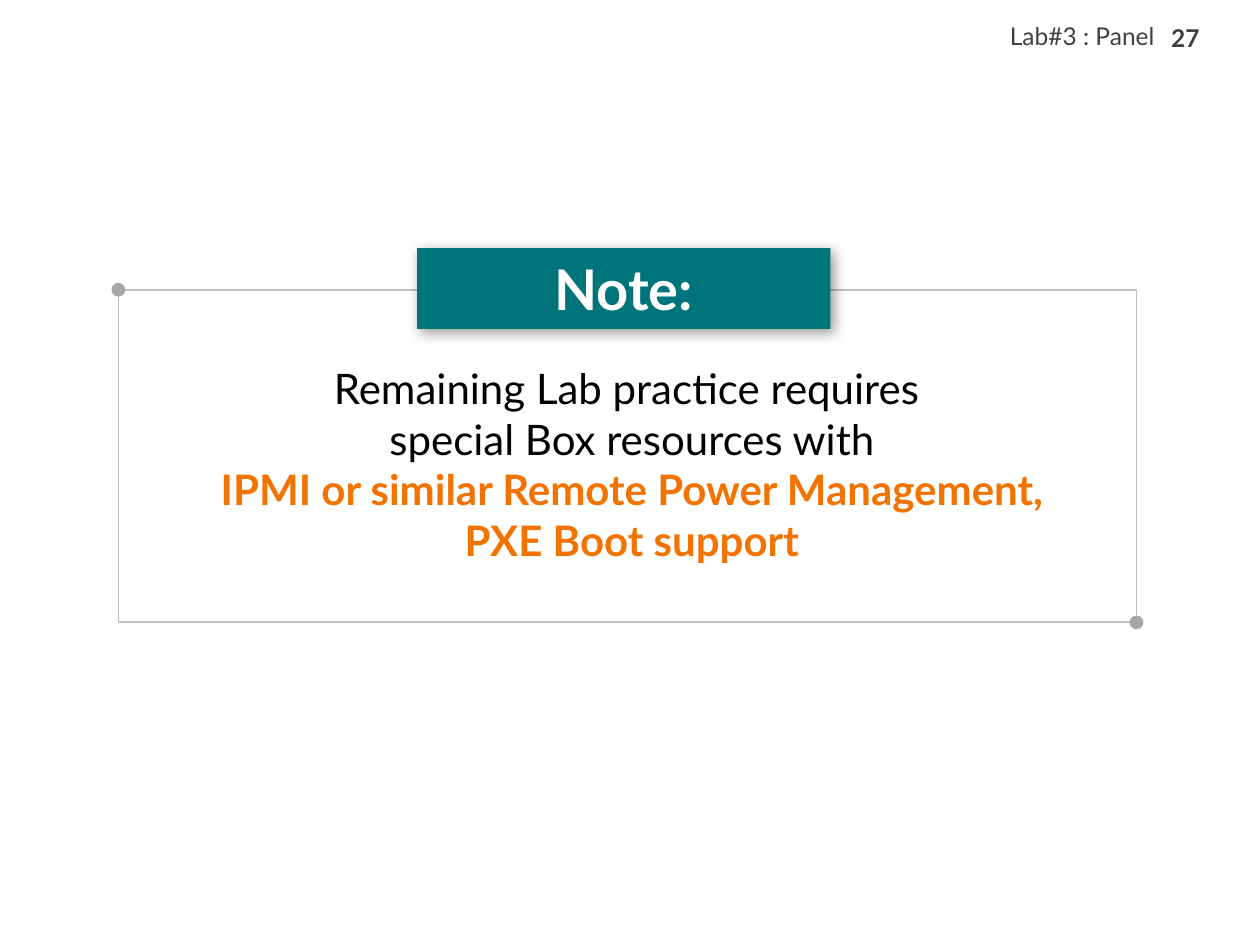
import pptx
import pptx.util
import pptx.dml.color
import pptx.enum.shapes
import pptx.enum.text
import pptx.oxml
import pptx.oxml.ns
from collections import namedtuple

Box = namedtuple("Box", "left top width height")

WIDTH, HEIGHT = pptx.util.Inches(10), pptx.util.Inches(7.5)
COLUMNS, ROWS = 100, 75
COLORS = {
    "header": "404040",
    "body": "000000",
    "accent": "F27300",
    "frame": "BFBFBF",
    "dot": "A6A6A6",
    "banner": "00747B",
    "banner_text": "FFFFFF",
    "shadow": "000000",
}
ALIGN = pptx.enum.text.PP_ALIGN
ANCHOR = pptx.enum.text.MSO_ANCHOR
PRESET = pptx.enum.shapes.MSO_SHAPE


def color(role):
    return pptx.dml.color.RGBColor.from_string(COLORS[role])


def within(region, left, top, width, height):
    return Box(region.left + left, region.top + top, width, height)


def to_lengths(box):
    return (
        int(box.left * WIDTH / COLUMNS),
        int(box.top * HEIGHT / ROWS),
        int(box.width * WIDTH / COLUMNS),
        int(box.height * HEIGHT / ROWS),
    )


def apply(target, values):
    for attribute, value in values.items():
        setattr(target, attribute, value)


def move(shape, box):
    apply(shape, dict(zip(("left", "top", "width", "height"), to_lengths(box))))


def write(shape, lines, size, anchor, align=ALIGN.CENTER):
    frame = shape.text_frame
    apply(frame, {
        "word_wrap": True,
        "auto_size": pptx.enum.text.MSO_AUTO_SIZE.NONE,
        "vertical_anchor": anchor,
    })
    for index, (text, role, bold) in enumerate(lines):
        paragraph = frame.add_paragraph() if index else frame.paragraphs[0]
        properties = paragraph._p.get_or_add_pPr()
        properties.set("marL", "0")
        properties.set("indent", "0")
        properties.append(pptx.oxml.parse_xml(
            f'<a:buNone {pptx.oxml.ns.nsdecls("a")}/>'))
        apply(paragraph, {"alignment": align, "space_before": pptx.util.Pt(0)})
        run = paragraph.add_run()
        run.text = text
        apply(run.font, {"name": "Lato", "size": pptx.util.Pt(size), "bold": bold})
        run.font.color.rgb = color(role)


def add_header(slide, region):
    number = slide.shapes.add_textbox(
        *to_lengths(within(region, 18.2, 0, 4.6, 4)))
    write(number, [("27", "header", True)], 14, ANCHOR.MIDDLE, ALIGN.RIGHT)
    section = slide.shapes.add_textbox(
        *to_lengths(within(region, 0, 0.2, 25, 3.6)))
    write(section, [("Lab#3 : Panel", "header", False)], 14, ANCHOR.TOP)


def add_frame(slide, region):
    frame = slide.shapes.add_shape(PRESET.RECTANGLE, *to_lengths(region))
    frame.shadow.inherit = False
    frame.fill.background()
    frame.line.color.rgb = color("frame")
    frame.line.width = pptx.util.Pt(1)

    diameter = 1.1
    for across, down in ((0, 0), (region.width, region.height)):
        dot = slide.shapes.add_shape(PRESET.OVAL, *to_lengths(within(
            region, across - diameter / 2, down - diameter / 2,
            diameter, diameter)))
        dot.shadow.inherit = False
        dot.fill.solid()
        dot.fill.fore_color.rgb = color("dot")
        dot.line.fill.background()


def add_message(slide, region):
    message = slide.placeholders[1]
    move(message, within(region, 5.7, 5.3, 70.1, 10.2))
    write(message, [
        ("Remaining Lab practice requires ", "body", False),
        ("special Box resources with", "body", False),
        ("IPMI or similar Remote Power Management, PXE Boot support",
         "accent", True),
    ], 24, ANCHOR.TOP)


def add_banner(slide, region):
    banner = slide.shapes.title
    move(banner, within(region, 23.7, -3.3, 32.8, 6.4))
    banner.fill.solid()
    banner.fill.fore_color.rgb = color("banner")
    banner.line.fill.background()
    banner._element.spPr.append(pptx.oxml.parse_xml(
        f'<a:effectLst {pptx.oxml.ns.nsdecls("a")}>'
        f'<a:outerShdw blurRad="{pptx.util.Pt(8)}" dist="{pptx.util.Pt(3)}" '
        f'dir="{45 * 60000}" algn="tl" rotWithShape="0">'
        f'<a:srgbClr val="{COLORS["shadow"]}"><a:alpha val="40000"/></a:srgbClr>'
        '</a:outerShdw></a:effectLst>'))
    write(banner, [("Note:", "banner_text", True)], 32, ANCHOR.MIDDLE)
    slide.shapes._spTree.append(banner._element)


def main():
    presentation = pptx.Presentation()
    apply(presentation, {"slide_width": WIDTH, "slide_height": HEIGHT})
    slide = presentation.slides.add_slide(presentation.slide_layouts[1])
    note = Box(9.4, 23, 80.8, 26.4)
    add_header(slide, Box(73.4, 1, 25, 4))
    add_message(slide, note)
    add_frame(slide, note)
    add_banner(slide, note)
    presentation.save("out.pptx")


if __name__ == "__main__":
    main()
